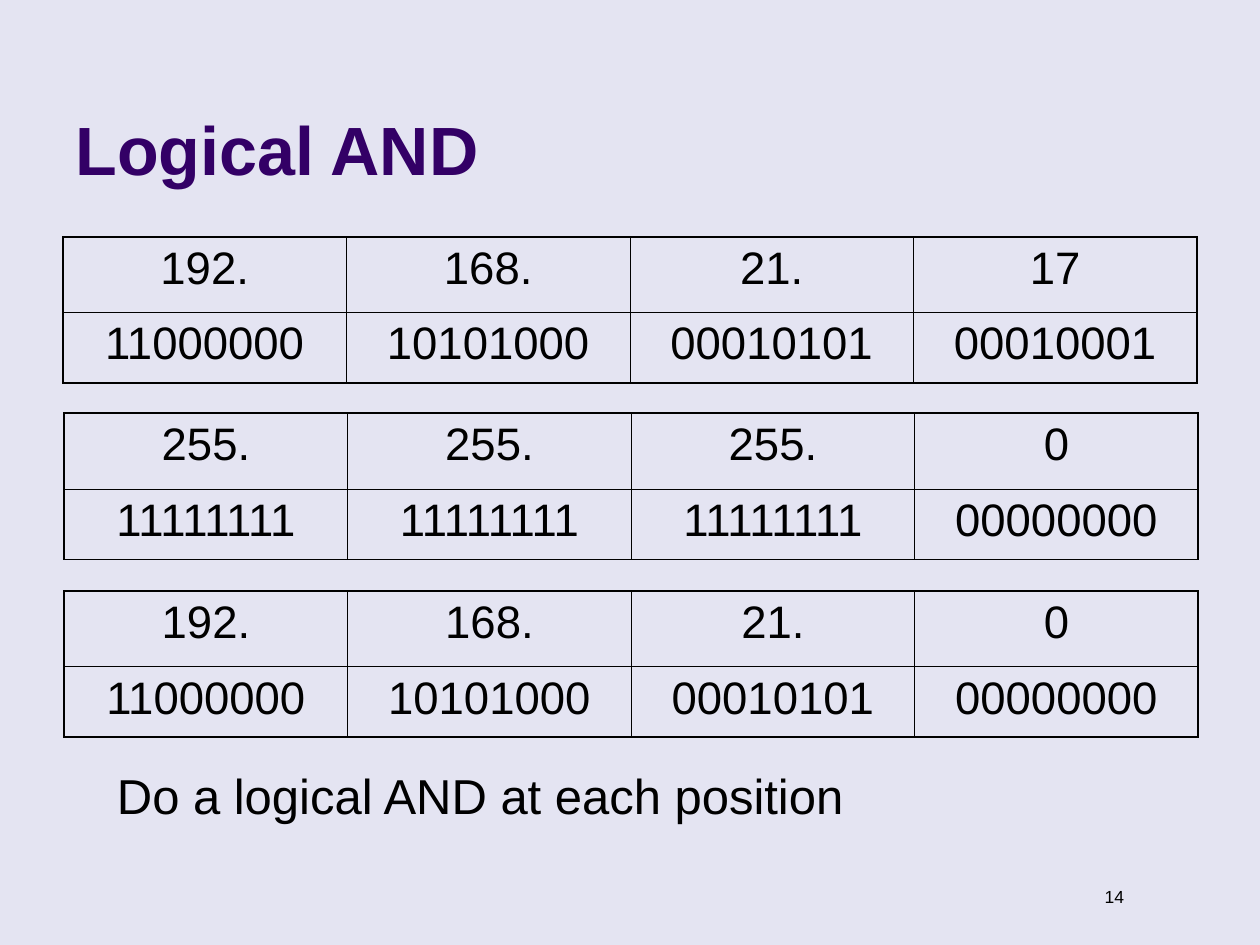
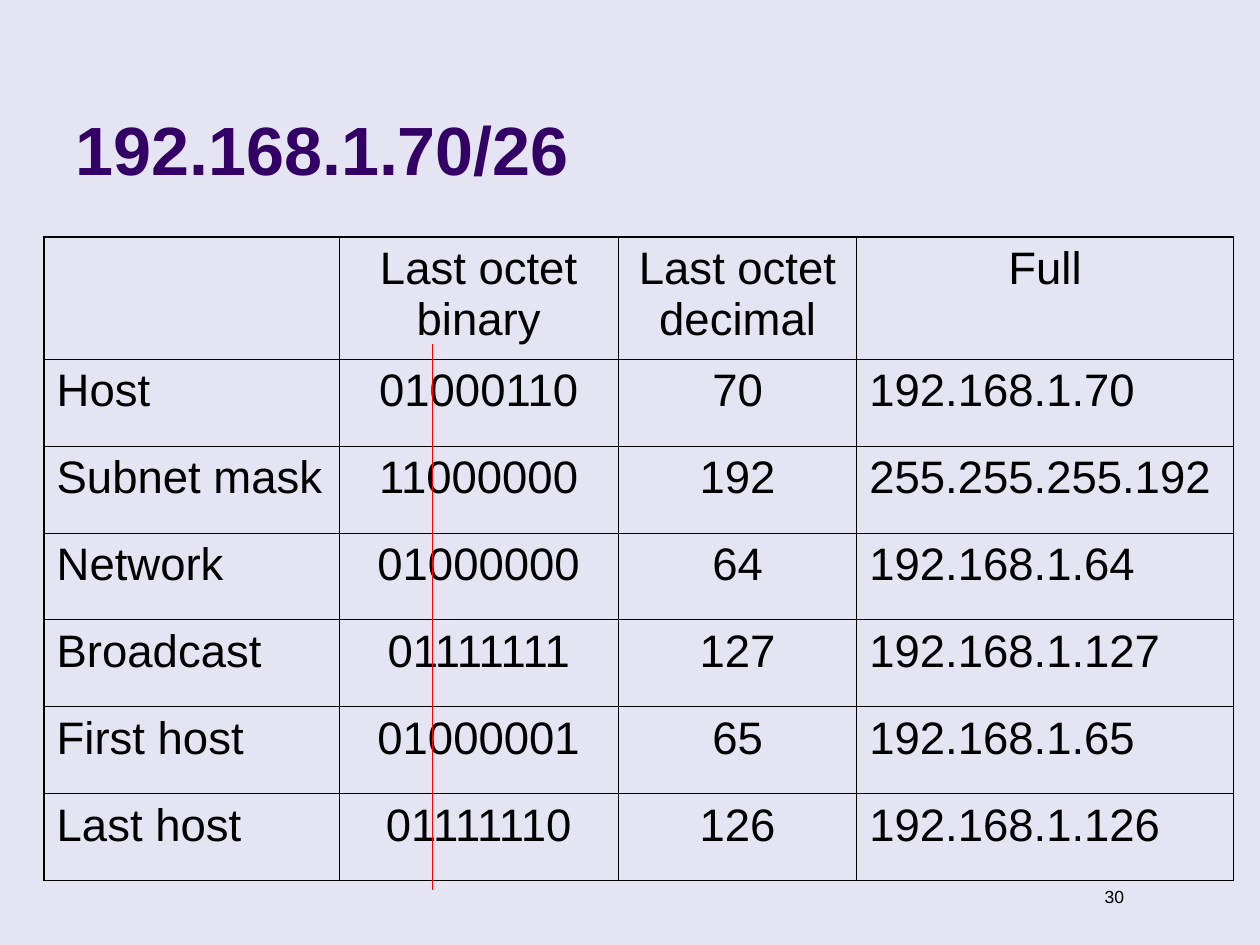
from lxml.etree import SubElement
from pptx import Presentation
from pptx.dml.color import RGBColor
from pptx.enum.shapes import MSO_CONNECTOR
from pptx.enum.text import MSO_ANCHOR, PP_ALIGN
from pptx.oxml.ns import qn
from pptx.util import Inches, Pt

FONT = "Arial"
BACKGROUND, TITLE, INK, RED = "E4E4F2", "330066", "000000", "FF0000"
THIN, THICK = 0.45, 1.08
LEFT, CENTER, RIGHT = PP_ALIGN.LEFT, PP_ALIGN.CENTER, PP_ALIGN.RIGHT

# Logical AND: address, mask and result, each as (left, top, rows)
AND_TABLES = [
    (0.5, 1.88, [("192.", "168.", "21.", "17"),
                 ("11000000", "10101000", "00010101", "00010001")]),
    (0.51, 3.28, [("255.", "255.", "255.", "0"),
                  ("11111111", "11111111", "11111111", "00000000")]),
    (0.51, 4.69, [("192.", "168.", "21.", "0"),
                  ("11000000", "10101000", "00010101", "00000000")]),
]
AND_NOTE = "Do a logical AND at each position"

SUBNET_ROWS = [
    ("", "Last octet binary", "Last octet decimal", "Full"),
    ("Host", "01000110", "70", "192.168.1.70"),
    ("Subnet mask", "11000000", "192", "255.255.255.192"),
    ("Network", "01000000", "64", "192.168.1.64"),
    ("Broadcast", "01111111", "127", "192.168.1.127"),
    ("First host", "01000001", "65", "192.168.1.65"),
    ("Last host", "01111110", "126", "192.168.1.126"),
]


def rgb(color):
    """Turn a hex string into a colour."""
    return RGBColor.from_string(color)


def set_text(tf, text, size, color=INK, bold=False, align=LEFT, before=0):
    """Put one formatted paragraph into a text frame."""
    tf.text = text
    p = tf.paragraphs[0]
    p.alignment, p.space_before = align, Pt(before)
    for r in p.runs:
        r.font.name, r.font.size, r.font.bold = FONT, Pt(size), bold
        r.font.color.rgb = rgb(color)


def add_text(s, box, text, size, **style):
    """Add a wrapping text box."""
    tf = s.shapes.add_textbox(*map(Inches, box)).text_frame
    tf.word_wrap = True
    set_text(tf, text, size, **style)


def add_slide(prs, title, number):
    """Add a slide with its title and page number."""
    s = prs.slides.add_slide(prs.slide_layouts[5])
    sp = s.shapes.title
    sp.left, sp.top, sp.width, sp.height = map(Inches, (0.5, 0.13, 8.25, 1.42))
    sp.text_frame.vertical_anchor = MSO_ANCHOR.BOTTOM
    set_text(sp.text_frame, title, 39, TITLE, bold=True)
    add_text(s, (8.39, 6.98, 0.63, 0.27), number, 10, align=RIGHT, before=6.2)
    return s


def set_borders(cell, widths):
    """Draw the left, right, top and bottom borders of a cell."""
    tcPr = cell._tc.get_or_add_tcPr()
    for i, (side, width) in enumerate(zip("LRTB", widths)):
        ln = tcPr.makeelement(qn(f"a:ln{side}"), {"w": str(Pt(width))})
        SubElement(SubElement(ln, qn("a:solidFill")), qn("a:srgbClr"), val=INK)
        tcPr.insert(i, ln)


def add_grid(s, left, top, rows, widths, heights, aligns):
    """Add an unfilled table with thin inner and thick outer borders."""
    box = (left, top, sum(widths), sum(heights))
    table = s.shapes.add_table(len(rows), len(widths), *map(Inches, box)).table
    table.first_row = table.horz_banding = False
    for column, width in zip(table.columns, widths):
        column.width = Inches(width)
    for row, height in zip(table.rows, heights):
        row.height = Inches(height)
    last_row, last_col = len(rows) - 1, len(widths) - 1
    for i, row in enumerate(rows):
        for j, text in enumerate(row):
            cell = table.cell(i, j)
            cell.fill.background()
            align = CENTER if i == 0 else aligns[j]
            set_text(cell.text_frame, text, 26, align=align, before=6.5)
            outer = (j == 0, j == last_col, i == 0, i == last_row)
            set_borders(cell, [THICK if edge else THIN for edge in outer])


def add_line(s, start, end, color, width):
    """Add a straight line without a shadow."""
    line = s.shapes.add_connector(MSO_CONNECTOR.STRAIGHT,
                                  *map(Inches, start + end))
    line.line.color.rgb = rgb(color)
    line.line.width = Pt(width)
    SubElement(line._element.spPr, qn("a:effectLst"))


prs = Presentation()
prs.slide_width, prs.slide_height = Inches(10), Inches(7.5)
fill = prs.slide_master.background.fill
fill.solid()
fill.fore_color.rgb = rgb(BACKGROUND)

s = add_slide(prs, "Logical AND", "14")
for left, top, rows in AND_TABLES:
    add_grid(s, left, top, rows, [2.25] * 4, [0.6, 0.56], [CENTER] * 4)
add_text(s, (0.83, 6.03, 6.54, 0.57), AND_NOTE, 28, before=17.5)

s = add_slide(prs, "192.168.1.70/26", "30")
add_grid(s, 0.35, 1.88, SUBNET_ROWS, [2.34, 2.22, 1.89, 2.99],
         [0.97] + [0.69] * 6, [LEFT, CENTER, CENTER, LEFT])
add_line(s, (3.43, 2.73), (3.43, 7.06), RED, 0.74)

prs.save("out.pptx")
